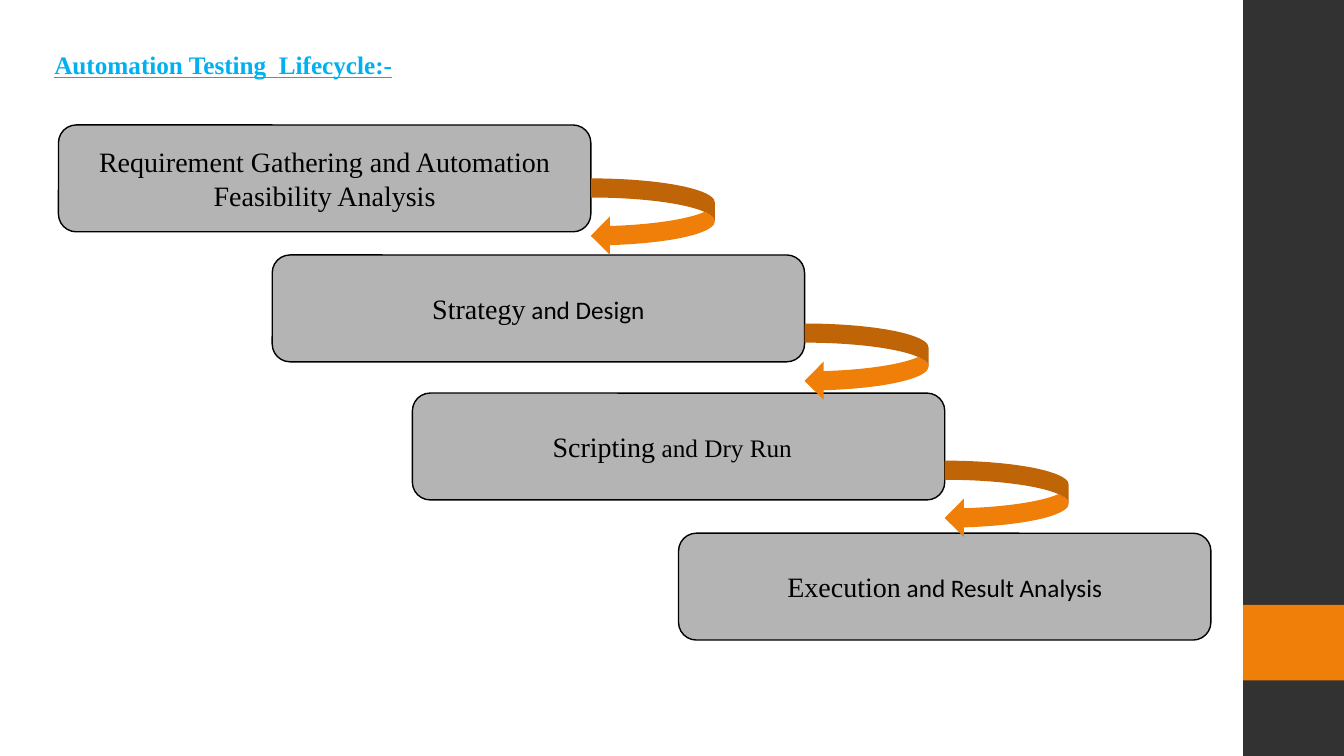
from dataclasses import dataclass

from pptx import Presentation
from pptx import util as u
from pptx.dml.color import RGBColor
from pptx.enum import shapes, text


@dataclass(frozen=True)
class Theme:
    """Colours, fonts and type sizes of the slide."""
    dark: str = "323232"
    accent: str = "F07F09"
    box: str = "B4B4B4"
    ink: str = "000000"
    title: str = "00B0F0"
    serif: str = "Times New Roman"
    sans: str = "Calibri"
    lead_size: int = 20
    body_size: int = 18


T = Theme()
SHAPE = shapes.MSO_SHAPE
BOX_W, BOX_H = 5.28, 1.06
ARROW_W, ARROW_H = 1.23, 0.76

STEPS = [
    (0.58, 1.24, [("Requirement Gathering and Automation Feasibility Analysis",
                   T.serif, T.lead_size)]),
    (2.7, 2.53, [("Strategy", T.serif, T.lead_size),
                 (" and Design", T.sans, T.body_size)]),
    (4.09, 3.9, [("Scripting", T.serif, T.lead_size),
                 (" and Dry Run\t", T.serif, T.body_size)]),
    (6.73, 5.29, [("Execution", T.serif, T.lead_size),
                  (" and Result Analysis", T.sans, T.body_size)]),
]
ARROW_DROPS = [0.53, 0.68, 0.67]


def set_font(font, name, size, color):
    """Apply typeface, size and colour to a font."""
    font.name = name
    font.size = u.Pt(size)
    font.color.rgb = RGBColor.from_string(color)


def add_filled(s, kind, box, fill, line=None):
    """Add a flat preset shape in a box given in inches."""
    sp = s.shapes.add_shape(kind, *map(u.Inches, box))
    sp.shadow.inherit = False
    sp.fill.solid()
    sp.fill.fore_color.rgb = RGBColor.from_string(fill)
    if line:
        sp.line.color.rgb = RGBColor.from_string(line)
        sp.line.width = u.Pt(1)
    else:
        sp.line.fill.background()
    return sp


def add_side_band(s, left, top, width, height):
    """Draw the dark band with its accent block."""
    add_filled(s, SHAPE.RECTANGLE, (left, top, width, height), T.dark)
    add_filled(s, SHAPE.RECTANGLE,
               (left, top + 0.8 * height, width, 0.1 * height), T.accent)


def add_title(s, box, title):
    """Write the underlined slide title."""
    tf = s.shapes.add_textbox(*map(u.Inches, box)).text_frame
    tf.word_wrap = True
    tf.auto_size = text.MSO_AUTO_SIZE.SHAPE_TO_FIT_TEXT
    p = tf.paragraphs[0]
    p.text = title
    set_font(p.font, T.serif, T.body_size, T.title)
    p.font.bold = p.font.underline = True


def add_step(s, left, top, runs):
    """Draw one lifecycle step with its label."""
    sp = add_filled(s, SHAPE.ROUNDED_RECTANGLE,
                    (left, top, BOX_W, BOX_H), T.box, T.ink)
    tf = sp.text_frame
    tf.word_wrap = True
    tf.vertical_anchor = text.MSO_ANCHOR.MIDDLE
    p = tf.paragraphs[0]
    p.alignment = text.PP_ALIGN.CENTER
    for words, name, size in runs:
        r = p.add_run()
        r.text = words
        set_font(r.font, name, size, T.ink)


def add_lifecycle(s, steps, drops):
    """Draw the staircase of steps and the arrows between them."""
    for left, top, runs in steps:
        add_step(s, left, top, runs)
    for (left, top, _), drop in zip(steps, drops):
        add_filled(s, SHAPE.CURVED_LEFT_ARROW,
                   (left + BOX_W, top + drop, ARROW_W, ARROW_H), T.accent)


def main():
    """Build and save the slide."""
    prs = Presentation()
    prs.slide_width, prs.slide_height = u.Inches(13.33), u.Inches(7.5)
    s = prs.slides.add_slide(prs.slide_layouts[6])
    add_side_band(s, 12.33, 0, 1, 7.5)
    add_title(s, (0.44, 0.44, 4.23, 0.4), "Automation Testing  Lifecycle:-")
    add_lifecycle(s, STEPS, ARROW_DROPS)
    prs.save("out.pptx")


main()
